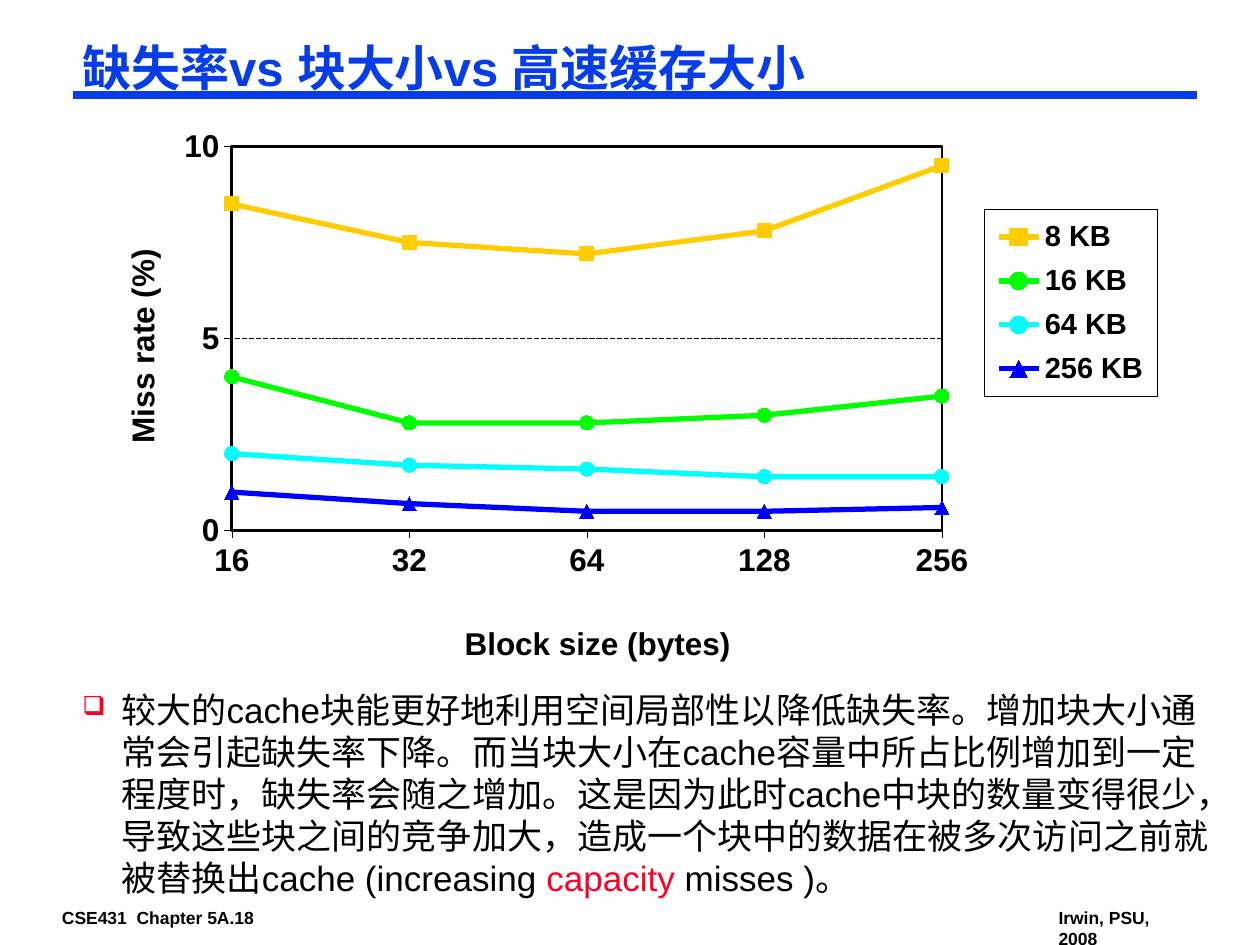
from lxml import etree
from pptx import Presentation
from pptx.chart.data import CategoryChartData
from pptx.dml.color import RGBColor
from pptx.enum.chart import XL_CHART_TYPE, XL_LEGEND_POSITION, XL_MARKER_STYLE, XL_TICK_MARK
from pptx.enum.dml import MSO_LINE
from pptx.enum.shapes import MSO_CONNECTOR
from pptx.enum.text import MSO_ANCHOR, PP_ALIGN
from pptx.oxml import parse_xml
from pptx.oxml.ns import qn
from pptx.util import Cm, Pt

BLACK = RGBColor(0x00, 0x00, 0x00)
BLUE = RGBColor(0x06, 0x3D, 0xE8)
RED = RGBColor(0xFC, 0x01, 0x28)
SQUARE = XL_MARKER_STYLE.SQUARE
CIRCLE = XL_MARKER_STYLE.CIRCLE
TRIANGLE = XL_MARKER_STYLE.TRIANGLE
OUTSIDE = XL_TICK_MARK.OUTSIDE
FONT = "Arial"
BORDER = (
    '<c:spPr xmlns:c="http://schemas.openxmlformats.org/drawingml/2006/chart" '
    'xmlns:a="http://schemas.openxmlformats.org/drawingml/2006/main"><a:noFill/>'
    '<a:ln w="{}"><a:solidFill><a:srgbClr val="000000"/></a:solidFill></a:ln></c:spPr>'
)


def write(shape, *spans, size, bold=False, spacing=1.0):
    frame = shape.text_frame
    frame.word_wrap = True
    frame.vertical_anchor = MSO_ANCHOR.TOP
    frame.margin_left = frame.margin_right = Cm(0.18)
    frame.margin_top = frame.margin_bottom = Cm(0.08)
    para = frame.paragraphs[0]
    para.alignment = PP_ALIGN.LEFT
    para.line_spacing = spacing
    para.space_before = Pt(0)
    for text, color in spans:
        span = para.add_run()
        span.text = text
        span.font.name = FONT
        span.font.size = Pt(size)
        span.font.bold = bold
        span.font.color.rgb = color
    return para


def place(element, index, **values):
    for old in element.findall(qn("c:layout")):
        element.remove(old)
    layout = etree.Element(qn("c:layout"))
    manual = etree.SubElement(layout, qn("c:manualLayout"))
    for name, value in values.items():
        etree.SubElement(manual, qn("c:" + name)).set("val", str(value))
    element.insert(index, layout)


deck = Presentation()
deck.slide_width = Cm(25.4)
deck.slide_height = Cm(19.05)
page = deck.slides.add_slide(deck.slide_layouts[5])

for text, left, width, height in (
    ("CSE431  Chapter 5A.18", 1.07, 4.6, 0.56),
    ("Irwin, PSU, 2008", 21.16, 3.05, 0.99),
):
    footer = page.shapes.add_textbox(Cm(left), Cm(18.21), Cm(width), Cm(height))
    write(footer, (text, BLACK), size=10, bold=True)

rule = page.shapes.add_connector(
    MSO_CONNECTOR.STRAIGHT, Cm(1.48), Cm(1.91), Cm(24.13), Cm(1.91)
)
rule.line.color.rgb = BLUE
rule.line.width = Pt(4.5)
etree.SubElement(rule._element.spPr, qn("a:effectLst"))

title = page.shapes.title
title.left, title.top, title.width, title.height = Cm(1.48), Cm(0.84), Cm(22.65), Cm(1.17)
write(title, ("缺失率vs 块大小vs 高速缓存大小", BLUE), size=28, bold=True, spacing=0.87)

miss_rates = (
    ("8 KB", (8.5, 7.5, 7.2, 7.8, 9.5), RGBColor(0xFF, 0xCC, 0x00), SQUARE),
    ("16 KB", (4, 2.8, 2.8, 3, 3.5), RGBColor(0x00, 0xFF, 0x00), CIRCLE),
    ("64 KB", (2, 1.7, 1.6, 1.4, 1.4), RGBColor(0x00, 0xFF, 0xFF), CIRCLE),
    ("256 KB", (1, 0.7, 0.5, 0.5, 0.6), RGBColor(0x00, 0x00, 0xFF), TRIANGLE),
)
data = CategoryChartData()
data.categories = ["16", "32", "64", "128", "256"]
for name, values, color, marker in miss_rates:
    data.add_series(name, values)
chart = page.shapes.add_chart(
    XL_CHART_TYPE.LINE_MARKERS, Cm(1.91), Cm(2.13), Cm(21.59), Cm(11.58), data
).chart
chart.has_title = False
chart.font.name = FONT
chart.font.size = Pt(18)
chart.font.bold = True
chart.font.color.rgb = BLACK
chart.plots[0].vary_by_categories = False

for series, (name, values, color, marker) in zip(chart.plots[0].series, miss_rates):
    series.smooth = False
    series.format.line.color.rgb = color
    series.format.line.width = Pt(3)
    series.marker.style = marker
    series.marker.size = 8
    series.marker.format.fill.solid()
    series.marker.format.fill.fore_color.rgb = color
    series.marker.format.line.fill.background()

for axis, text, left, top in (
    (chart.category_axis, "Block size (bytes)", 0.34, 0.89),
    (chart.value_axis, "Miss rate (%)", 0.02, 0.24),
):
    axis.major_tick_mark = OUTSIDE
    axis.minor_tick_mark = XL_TICK_MARK.NONE
    axis.format.line.color.rgb = BLACK
    axis.format.line.width = Pt(0.25)
    axis.tick_labels.font.size = Pt(18)
    axis.tick_labels.font.bold = True
    axis.axis_title.text_frame.text = text
    font = axis.axis_title.text_frame.paragraphs[0].runs[0].font
    font.name = FONT
    font.size = Pt(18)
    font.bold = True
    font.color.rgb = BLACK
    place(axis.axis_title._element, 1, xMode="edge", yMode="edge", x=left, y=top)

value_axis = chart.value_axis
value_axis.minimum_scale = 0
value_axis.maximum_scale = 10
value_axis.major_unit = 5
value_axis.has_major_gridlines = True
grid = value_axis.major_gridlines.format.line
grid.color.rgb = BLACK
grid.width = Pt(1)
grid.dash_style = MSO_LINE.SQUARE_DOT
for old in value_axis._element.findall(qn("c:crossBetween")):
    value_axis._element.remove(old)
crossing = etree.Element(qn("c:crossBetween"))
crossing.set("val", "midCat")
value_axis._element.find(qn("c:crosses")).addnext(crossing)

plot_area = chart._chartSpace.chart.plotArea
place(plot_area, 0, layoutTarget="inner", xMode="edge", yMode="edge",
      x=0.128, y=0.071, w=0.663, h=0.669)
plot_area.append(parse_xml(BORDER.format(19050)))

chart.has_legend = True
legend = chart.legend
legend.position = XL_LEGEND_POSITION.RIGHT
legend.include_in_layout = False
legend.font.name = FONT
legend.font.size = Pt(16.6)
legend.font.bold = True
legend.font.color.rgb = BLACK
place(legend._element, 1, xMode="edge", yMode="edge", x=0.831, y=0.181, w=0.161, h=0.325)
legend._element.find(qn("c:overlay")).addnext(parse_xml(BORDER.format(3175)))

body = page.shapes.add_textbox(Cm(1.48), Cm(13.79), Cm(23.29), Cm(4.42))
para = write(
    body,
    ("较大的cache块能更好地利用空间局部性以降低缺失率。增加块大小通常会引起缺失率下降。"
     "而当块大小在cache容量中所占比例增加到一定程度时，缺失率会随之增加。"
     "这是因为此时cache中块的数量变得很少，导致这些块之间的竞争加大，"
     "造成一个块中的数据在被多次访问之前就被替换出cache (increasing ", BLACK),
    ("capacity", RED),
    (" misses )。", BLACK),
    size=20,
)
properties = para._p.get_or_add_pPr()
properties.set("marL", str(Cm(0.79)))
properties.set("indent", str(-Cm(0.79)))
bullet_color = etree.SubElement(properties, qn("a:buClr"))
etree.SubElement(bullet_color, qn("a:srgbClr")).set("val", str(RED))
etree.SubElement(properties, qn("a:buSzPct")).set("val", "75000")
etree.SubElement(properties, qn("a:buChar")).set("char", "❑")

deck.save("out.pptx")
